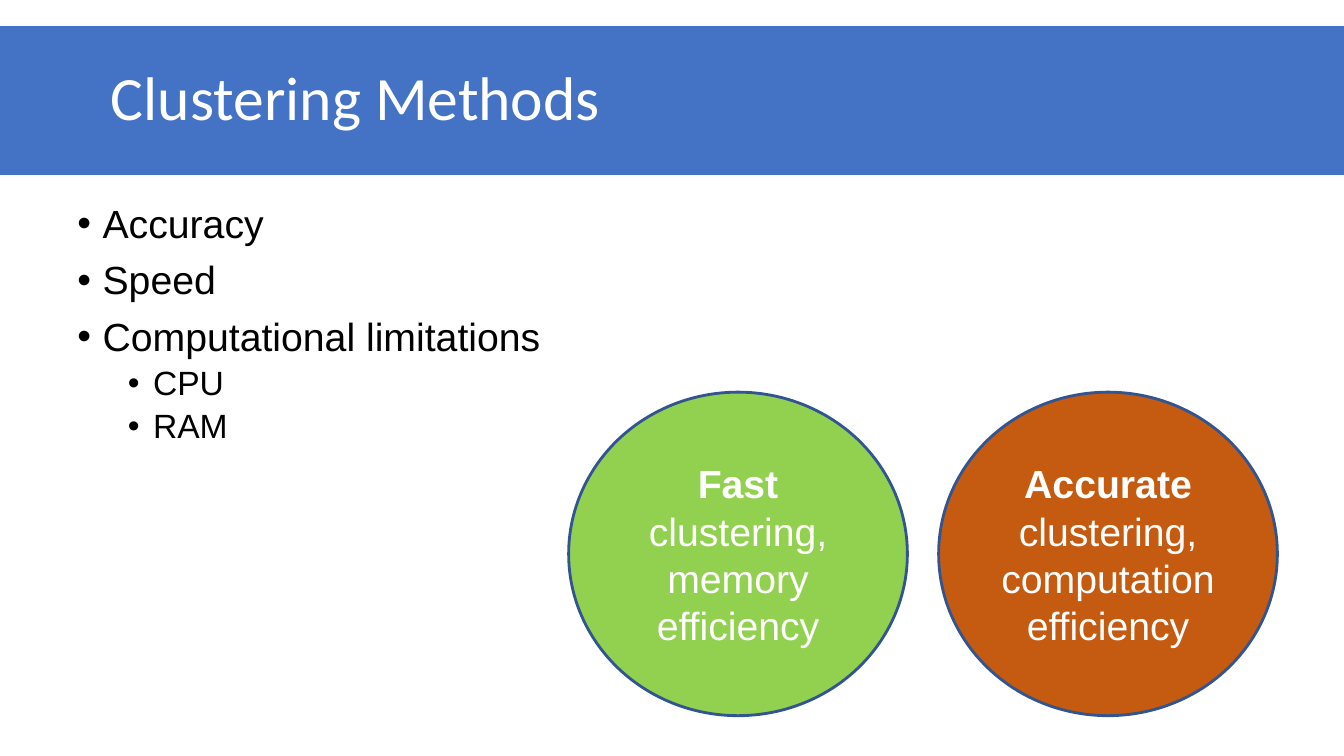
from dataclasses import dataclass

from lxml import etree
from pptx import Presentation
from pptx.dml.color import RGBColor
from pptx.enum.shapes import MSO_SHAPE
from pptx.enum.text import MSO_ANCHOR, MSO_AUTO_SIZE, PP_ALIGN
from pptx.oxml.ns import qn
from pptx.slide import Slide
from pptx.text.text import _Paragraph
from pptx.util import Inches, Pt

ELLIPSE = MSO_SHAPE.OVAL
MIDDLE = MSO_ANCHOR.MIDDLE
TOP = MSO_ANCHOR.TOP
NO_AUTOFIT = MSO_AUTO_SIZE.NONE
LEFT = PP_ALIGN.LEFT
CENTER = PP_ALIGN.CENTER

WHITE = RGBColor(0xFF, 0xFF, 0xFF)
BLACK = RGBColor(0x00, 0x00, 0x00)
BLUE = RGBColor(0x44, 0x72, 0xC4)
DARK_BLUE = RGBColor(0x32, 0x54, 0x91)
GREEN = RGBColor(0x92, 0xD0, 0x50)
ORANGE = RGBColor(0xC5, 0x5A, 0x11)

SLIDE_WIDTH = Inches(13.33)
LINE_WIDTH = Pt(2)


@dataclass(frozen=True)
class Bullet:
    """One line of the criteria list."""
    text: str
    level: int = 0


@dataclass(frozen=True)
class Goal:
    """One circle: a bold keyword and the words after it."""
    keyword: str
    details: str
    fill: RGBColor


BULLETS = [
    Bullet("Accuracy"),
    Bullet("Speed"),
    Bullet("Computational limitations"),
    Bullet("CPU", 1),
    Bullet("RAM", 1),
]
GOALS = [
    Goal("Fast", " clustering, memory efficiency", GREEN),
    Goal("Accurate", " clustering, computation efficiency", ORANGE),
]


def add_run(paragraph: _Paragraph, text: str, size: int, color: RGBColor,
            font_name: str = "Arial", bold: bool = False) -> None:
    """Append one formatted run to a paragraph."""
    run = paragraph.add_run()
    run.text = text
    run.font.name = font_name
    run.font.size = Pt(size)
    run.font.bold = bold
    run.font.color.rgb = color


def add_title(slide: Slide, text: str) -> None:
    """Turn the title placeholder into the full-width blue band."""
    title = slide.shapes.title
    title.left, title.top = Inches(0), Inches(0.27)
    title.width, title.height = SLIDE_WIDTH, Inches(1.45)
    title.fill.solid()
    title.fill.fore_color.rgb = BLUE
    title.line.color.rgb = BLUE
    title.line.width = LINE_WIDTH
    frame = title.text_frame
    frame.auto_size = NO_AUTOFIT
    frame.vertical_anchor = MIDDLE
    frame.margin_left = Inches(1.1)
    paragraph = frame.paragraphs[0]
    paragraph.alignment = LEFT
    paragraph.line_spacing = 0.9
    add_run(paragraph, text, 44, WHITE, "Calibri")


def set_bullet(paragraph: _Paragraph, level: int) -> None:
    """Give a paragraph a round bullet with a hanging indent."""
    properties = paragraph._p.get_or_add_pPr()
    properties.set("marL", str(Inches(0.25 + 0.5 * level)))
    properties.set("indent", str(Inches(-0.25)))
    color = etree.SubElement(properties, qn("a:buClr"))
    etree.SubElement(color, qn("a:srgbClr"), val=str(BLACK))
    etree.SubElement(properties, qn("a:buFont"), typeface="Arial")
    etree.SubElement(properties, qn("a:buChar"), char="•")


def add_bullet_list(slide: Slide, bullets: list[Bullet]) -> None:
    """Add the two-level list of criteria."""
    box = slide.shapes.add_textbox(Inches(0.67), Inches(1.98), Inches(12), Inches(4.35))
    frame = box.text_frame
    frame.word_wrap = True
    frame.vertical_anchor = TOP
    for index, bullet in enumerate(bullets):
        paragraph = frame.add_paragraph() if index else frame.paragraphs[0]
        paragraph.level = bullet.level
        paragraph.line_spacing = 0.9
        paragraph.space_before = Pt(5 if bullet.level else 10)
        set_bullet(paragraph, bullet.level)
        add_run(paragraph, bullet.text, 24 if bullet.level else 28, BLACK)


def add_goal(slide: Slide, goal: Goal, index: int) -> None:
    """Add one circle at its place in the row."""
    circle = slide.shapes.add_shape(
        ELLIPSE, Inches(5.64 + 3.67 * index), Inches(3.89), Inches(3.36), Inches(3.21))
    circle.shadow.inherit = False
    circle.fill.solid()
    circle.fill.fore_color.rgb = goal.fill
    circle.line.color.rgb = DARK_BLUE
    circle.line.width = LINE_WIDTH
    frame = circle.text_frame
    frame.word_wrap = True
    frame.vertical_anchor = MIDDLE
    paragraph = frame.paragraphs[0]
    paragraph.alignment = CENTER
    add_run(paragraph, goal.keyword, 28, WHITE, bold=True)
    add_run(paragraph, goal.details, 28, WHITE)


def main() -> None:
    """Build and save the slide."""
    presentation = Presentation()
    presentation.slide_width = SLIDE_WIDTH
    presentation.slide_height = Inches(7.5)
    title_only_layout = presentation.slide_layouts[5]
    slide = presentation.slides.add_slide(title_only_layout)
    add_title(slide, "Clustering Methods")
    add_bullet_list(slide, BULLETS)
    for index, goal in enumerate(GOALS):
        add_goal(slide, goal, index)
    presentation.save("out.pptx")


main()
